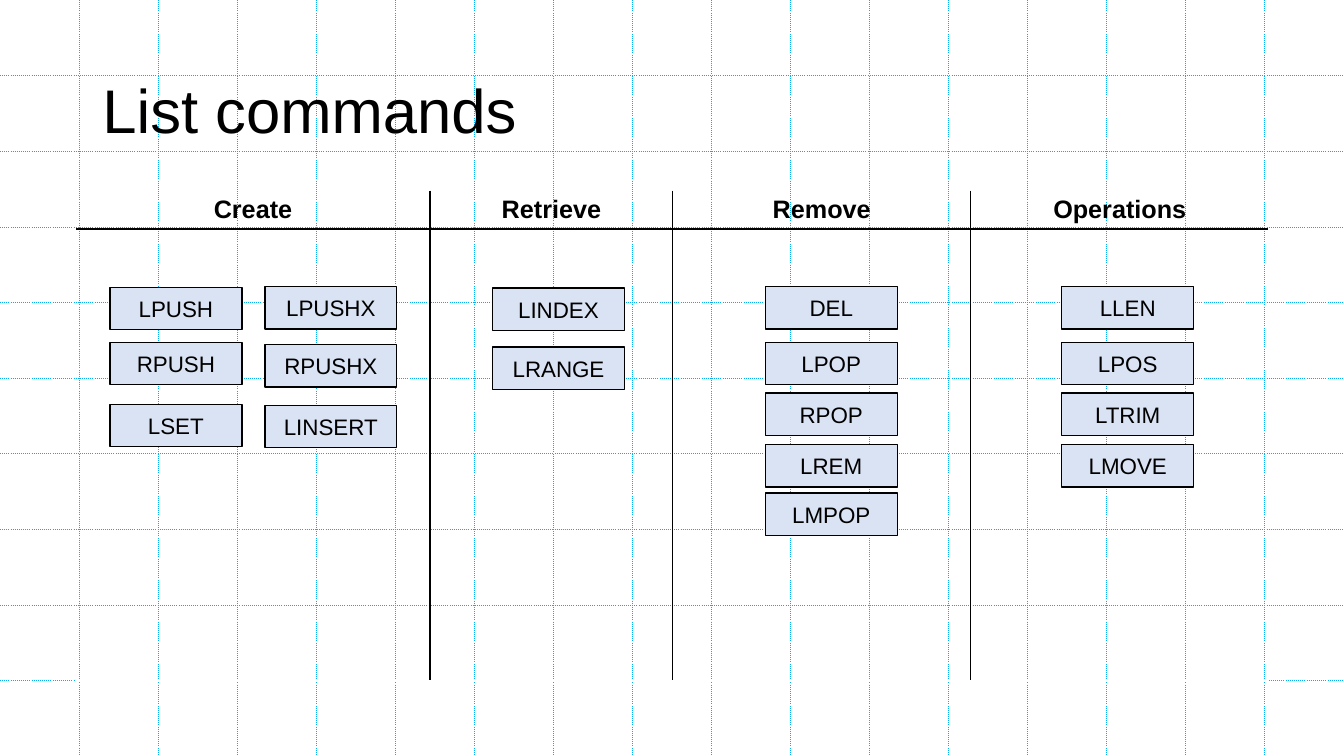
import lxml.etree
import pptx
import pptx.dml.color
import pptx.enum.shapes
import pptx.enum.text
import pptx.oxml.ns
import pptx.util

COLORS = {"text": "000000", "rule": "000000", "blank": "FFFFFF", "grid": "00B0F0", "box": "DAE3F3"}
FORMATS = {
    "title": {"size": pptx.util.Pt(44), "bold": False},
    "heading": {"size": pptx.util.Pt(18), "bold": True},
    "command": {"size": pptx.util.Pt(16), "bold": False},
}
BORDERS = {"rule": (1, "solid"), "blank": (1, "solid"), "grid": (0.25, "sysDot")}
GRID_COLUMNS, GRID_ROWS = 17, 10
BOX_WIDTH, BOX_HEIGHT = 1.67, 0.56

SECTIONS = {"Create": 4.48, "Retrieve": 3.07, "Remove": 3.77, "Operations": 3.77}
LATER_ROWS = (3.79, 4.53, 5.2, 5.88, 6.52)
COMMANDS = (
    (1.39, (3.8, 4.53, 5.35), ("LPUSH", "RPUSH", "LSET")),
    (3.35, (3.79, 4.56, 5.36), ("LPUSHX", "RPUSHX", "LINSERT")),
    (6.23, (3.81, 4.59), ("LINDEX", "LRANGE")),
    (9.68, LATER_ROWS, ("DEL", "LPOP", "RPOP", "LREM", "LMPOP")),
    (13.43, LATER_ROWS, ("LLEN", "LPOS", "LTRIM", "LMOVE")),
)


class SlideBuilder:
    def __init__(self, presentation):
        self.column = presentation.slide_width / GRID_COLUMNS
        self.row = presentation.slide_height / GRID_ROWS
        self.slide = presentation.slides.add_slide(presentation.slide_layouts[6])

    def area(self, left, top, width, height):
        return [round(columns_or_rows * unit) for columns_or_rows, unit in
                zip((left, top, width, height), (self.column, self.row) * 2)]

    def color(self, name):
        return pptx.dml.color.RGBColor.from_string(COLORS[name])

    def label(self, text_frame, text, style, **paragraph_format):
        text_frame.text = text
        paragraph = text_frame.paragraphs[0]
        for name, value in paragraph_format.items():
            setattr(paragraph, name, value)
        for name, value in {"name": "Arial", **FORMATS[style]}.items():
            setattr(paragraph.font, name, value)
        paragraph.font.color.rgb = self.color("text")

    def title(self, text, *area):
        shape = self.slide.shapes.add_textbox(*self.area(*area))
        shape.text_frame.word_wrap = True
        shape.text_frame.vertical_anchor = pptx.enum.text.MSO_ANCHOR.MIDDLE
        self.label(shape.text_frame, text, "title", line_spacing=0.9)

    def box(self, text, left, top):
        shape = self.slide.shapes.add_shape(
            pptx.enum.shapes.MSO_SHAPE.RECTANGLE, *self.area(left, top, BOX_WIDTH, BOX_HEIGHT))
        shape.shadow.inherit = False
        shape.fill.solid()
        shape.fill.fore_color.rgb = self.color("box")
        shape.line.color.rgb = self.color("rule")
        shape.line.width = pptx.util.Pt(1)
        shape.text_frame.word_wrap = True
        shape.text_frame.vertical_anchor = pptx.enum.text.MSO_ANCHOR.MIDDLE
        self.label(shape.text_frame, text, "command", alignment=pptx.enum.text.PP_ALIGN.CENTER)

    def border(self, cell, edges):
        qualify = pptx.oxml.ns.qn
        properties = cell._tc.get_or_add_tcPr()
        for position, (side, name) in enumerate(zip("LRTB", edges)):
            line = lxml.etree.Element(qualify(f"a:ln{side}"))
            properties.insert(position, line)
            if name is None:
                lxml.etree.SubElement(line, qualify("a:noFill"))
                continue
            width, dash = BORDERS[name]
            line.set("w", str(pptx.util.Pt(width)))
            fill = lxml.etree.SubElement(line, qualify("a:solidFill"))
            lxml.etree.SubElement(fill, qualify("a:srgbClr"), val=COLORS[name])
            lxml.etree.SubElement(line, qualify("a:prstDash"), val=dash)

    def table(self, left, top, widths, heights, edges_at):
        frame = self.slide.shapes.add_table(
            len(heights), len(widths), *self.area(left, top, sum(widths), sum(heights)))
        table = frame.table
        table.first_row = table.horz_banding = False
        for column, width in zip(table.columns, widths):
            column.width = round(width * self.column)
        for row, height in zip(table.rows, heights):
            row.height = round(height * self.row)
        for row_index in range(len(heights)):
            for column_index in range(len(widths)):
                cell = table.cell(row_index, column_index)
                cell.fill.background()
                self.border(cell, edges_at(row_index, column_index))
        return table


def grid_edges(row, column):
    inner = (column > 0, column < GRID_COLUMNS - 1, row > 0, row < GRID_ROWS - 1)
    return ["grid" if visible else None for visible in inner]


def section_edges(row, column):
    outer = None if row == 0 else "blank"
    left = "rule" if column > 0 else outer
    right = "rule" if column < len(SECTIONS) - 1 else outer
    return (left, right, None, "rule") if row == 0 else (left, right, "rule", "blank")


def main():
    presentation = pptx.Presentation()
    presentation.slide_width = pptx.util.Inches(13.33)
    presentation.slide_height = pptx.util.Inches(7.5)
    builder = SlideBuilder(presentation)
    builder.table(0, 0, [1] * GRID_COLUMNS, [1] * GRID_ROWS, grid_edges)
    sections = builder.table(0.96, 2.52, list(SECTIONS.values()), [0.51, 5.97], section_edges)
    for column, heading in enumerate(SECTIONS):
        builder.label(sections.cell(0, column).text_frame, heading, "heading",
                      alignment=pptx.enum.text.PP_ALIGN.CENTER)
    builder.title("List commands", 1.17, 0.53, 14.66, 1.93)
    for left, tops, names in COMMANDS:
        for top, name in zip(tops, names):
            builder.box(name, left, top)
    presentation.save("out.pptx")


if __name__ == "__main__":
    main()
